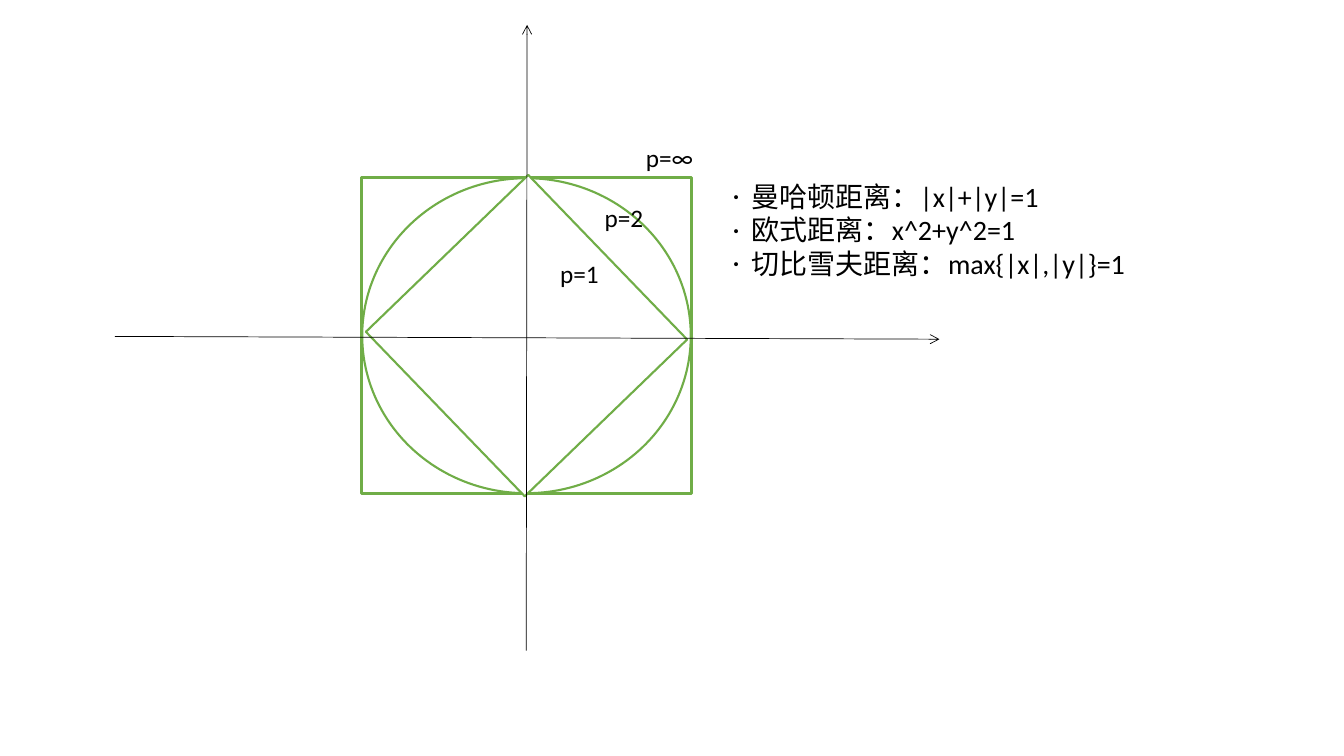
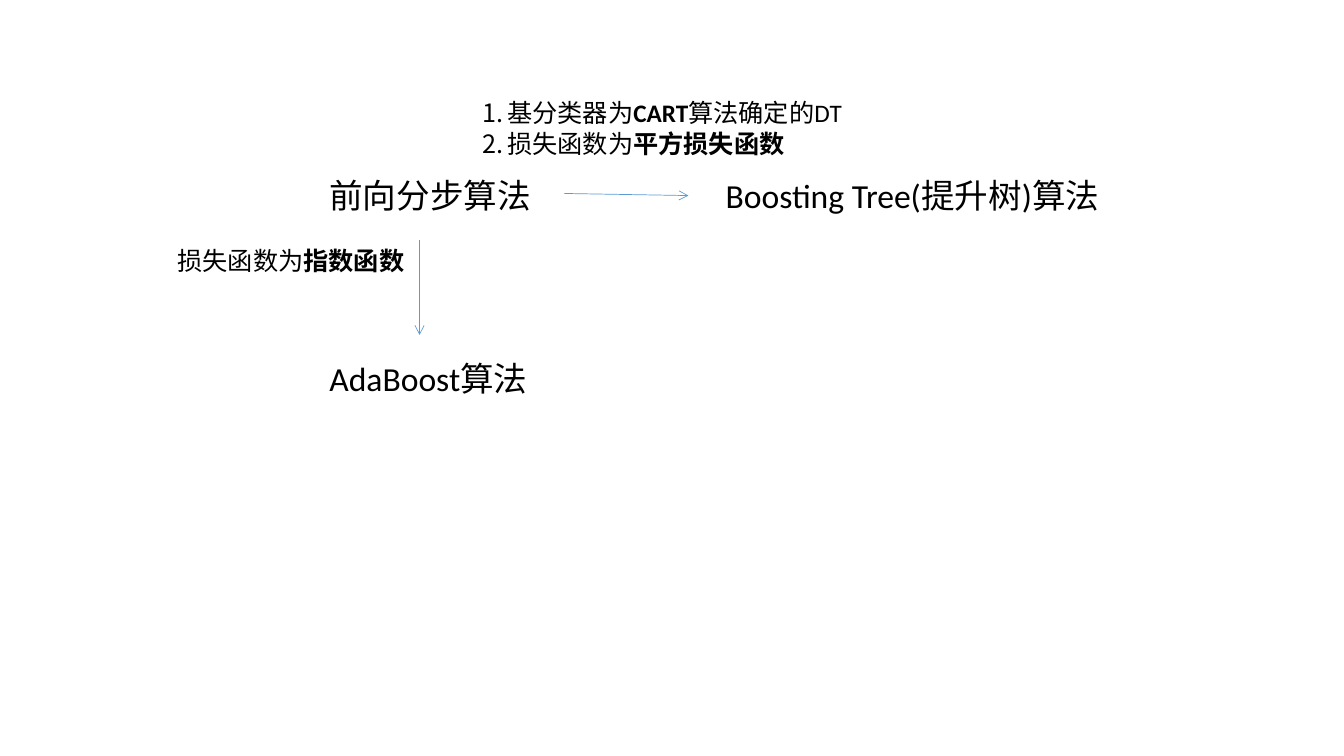
from lxml import etree
from pptx import Presentation
from pptx.dml.color import RGBColor
from pptx.enum import shapes, text
from pptx.oxml import ns
from pptx.util import Pt

FONT = "Calibri"
BLACK, WHITE, GREEN, BLUE = "000000", "FFFFFF", "70AD47", "5B9BD5"
DOT = ("buChar", {"char": "·"})
NUMBER = ("buAutoNum", {"type": "arabicPeriod"})


def rgb(value):
    return RGBColor.from_string(value)


def add_child(parent, tag, **attrs):
    return etree.SubElement(parent, ns.qn("a:" + tag), attrs)


def add_runs(p, runs, size):
    """Fill a paragraph with (words, bold) runs."""
    for words, bold in runs:
        r = p.add_run()
        r.text = words
        for name, value in {"name": FONT, "size": Pt(size), "bold": bold}.items():
            setattr(r.font, name, value)
        r.font.color.rgb = rgb(BLACK)


def add_label(slide, x, y, w, h, runs, size):
    sp = slide.shapes.add_textbox(Pt(x), Pt(y), Pt(w), Pt(h))
    tf = sp.text_frame
    tf.word_wrap = True
    tf.auto_size = text.MSO_AUTO_SIZE.SHAPE_TO_FIT_TEXT
    add_runs(tf.paragraphs[0], runs, size)


def fill_list(slide, x, y, w, h, items, size, marker, indent):
    """Place the body placeholder and write items with a real bullet or number."""
    sp = slide.placeholders[1]
    for name, value in {"left": x, "top": y, "width": w, "height": h}.items():
        setattr(sp, name, Pt(value))
    tf = sp.text_frame
    tf.auto_size = text.MSO_AUTO_SIZE.NONE
    tag, attrs = marker
    for i, runs in enumerate(items):
        p = tf.paragraphs[0] if i == 0 else tf.add_paragraph()
        p.space_before = Pt(0)
        pPr = p._p.get_or_add_pPr()
        pPr.set("marL", str(Pt(indent)))
        pPr.set("indent", str(-Pt(indent)))
        add_child(pPr, "buFont", typeface=FONT)
        add_child(pPr, tag, **attrs)
        add_runs(p, runs, size)


def add_arrow(slide, x1, y1, x2, y2, color):
    line = slide.shapes.add_connector(
        shapes.MSO_CONNECTOR.STRAIGHT, Pt(x1), Pt(y1), Pt(x2), Pt(y2))
    line.line.color.rgb = rgb(color)
    line.line.width = Pt(0.5)
    add_child(line.line._get_or_add_ln(), "tailEnd", type="arrow")
    add_child(line._element.spPr, "effectLst")


def add_outline(slide, kind, cx, cy, w, h, width, rotation=0):
    """Draw a green outlined shape around a centre."""
    sp = slide.shapes.add_shape(kind, Pt(cx - w / 2), Pt(cy - h / 2), Pt(w), Pt(h))
    sp.shadow.inherit = False
    sp.rotation = rotation
    sp.fill.solid()
    sp.fill.fore_color.rgb = rgb(WHITE)
    sp.line.color.rgb = rgb(GREEN)
    sp.line.width = Pt(width)


def draw_unit_balls(slide, x, y, w, h):
    """Draw the unit balls of three norms, with axes crossing in the box."""
    cx, cy = x + w / 2, y + h / 2
    kind = shapes.MSO_SHAPE
    add_outline(slide, kind.RECTANGLE, cx, cy, w, h, 2.25)
    add_outline(slide, kind.OVAL, cx, cy, w - 1.5, h - 1, 1.5)
    add_outline(slide, kind.RECTANGLE, cx, cy, 163.4, 161.3, 1.5, rotation=46)
    add_arrow(slide, cx - 294, cy + 0.5, cx + 295, cy + 2.5, BLACK)
    add_arrow(slide, cx - 0.2, cy + 225, cx + 0.4, cy - 222, BLACK)
    for words, dx, dy in (("p=1", 17, -58.5), ("p=2", 48.7, -99), ("p=∞", 78.2, -141.5)):
        add_label(slide, cx + dx, cy + dy, 61, 29, [(words, False)], 18)


def draw_derivations(slide, x, y):
    """Lay out the source algorithm at x, y with its two special cases."""
    for words, dx, dy, w in (("前向分步算法", 0, 0, 289),
                             ("AdaBoost算法", 0, 130.5, 289),
                             ("Boosting Tree(提升树)算法", 283, -0.5, 353)):
        add_label(slide, x + dx, y + dy, w, 36, [(words, False)], 24)
    add_arrow(slide, x + 71.5, y + 50, x + 71.5, y + 117.5, BLUE)
    add_arrow(slide, x + 175, y + 16.5, x + 263.5, y + 18, BLUE)
    add_label(slide, x - 108.5, y + 49.7, 285, 29,
              [("损失函数为", False), ("指数函数", True)], 18)


def add_list_slide(prs):
    slide = prs.slides.add_slide(prs.slide_layouts[1])
    title = slide.shapes.title._element
    title.getparent().remove(title)
    return slide


def main():
    prs = Presentation()
    prs.slide_width, prs.slide_height = Pt(960), Pt(540)

    slide = add_list_slide(prs)
    draw_unit_balls(slide, 258, 126.8, 236.2, 226)
    distances = ("曼哈顿距离：|x|+|y|=1", "欧式距离：x^2+y^2=1",
                 "切比雪夫距离：max{|x|,|y|}=1")
    fill_list(slide, 516.2, 124.5, 327.6, 80,
              [[(words, False)] for words in distances], 20, DOT, 13.5)

    slide = add_list_slide(prs)
    draw_derivations(slide, 228.2, 121.7)
    conditions = [
        [("基分类器为", False), ("CART", True), ("算法确定的DT", False)],
        [("损失函数为", False), ("平方损失函数", True)],
    ]
    fill_list(slide, 337.7, 66.2, 285, 51, conditions, 18, NUMBER, 17.5)

    prs.save("out.pptx")


if __name__ == "__main__":
    main()
